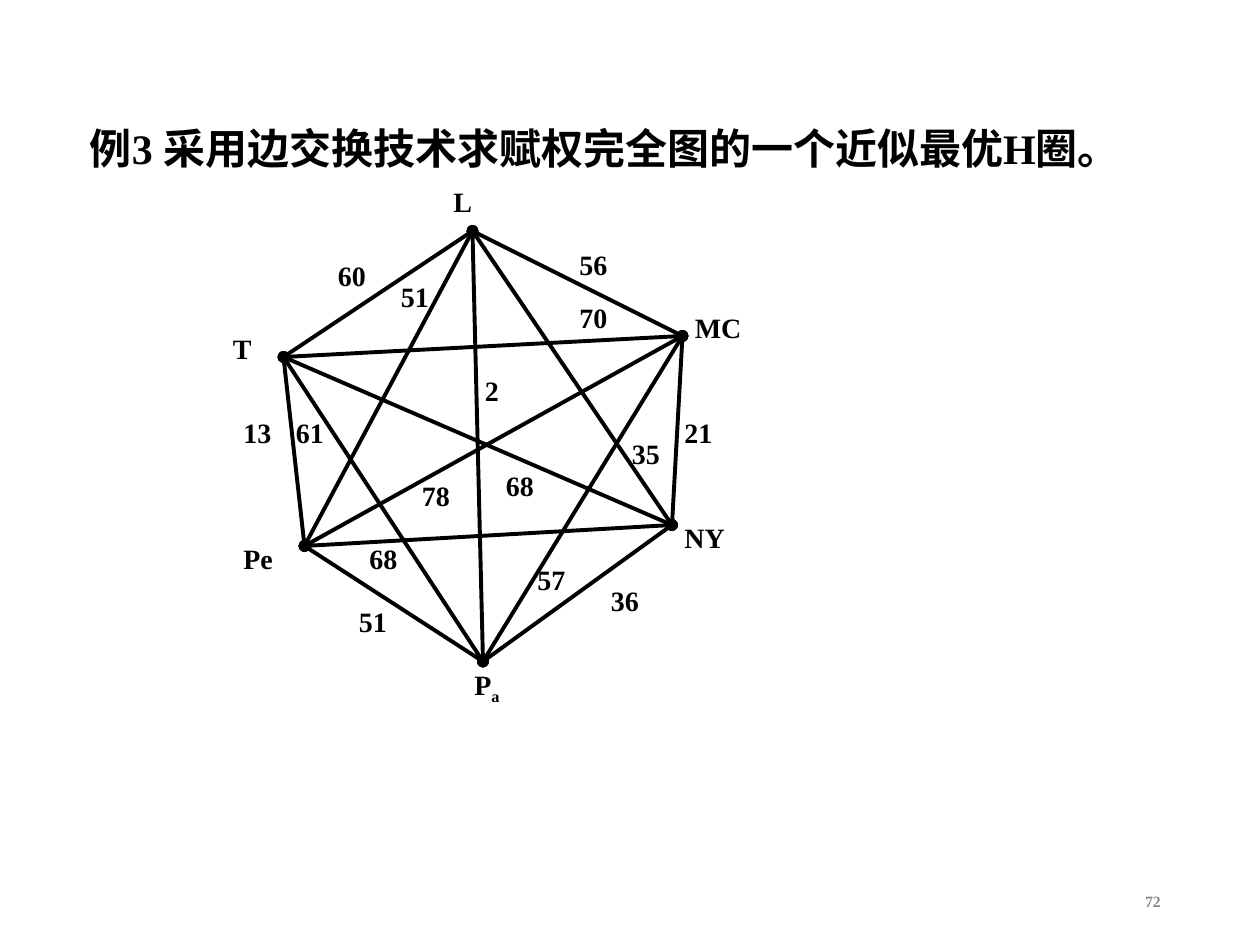
from itertools import combinations

from pptx import Presentation
from pptx.dml.color import RGBColor as Rgb
from pptx.enum.shapes import MSO_CONNECTOR as Link
from pptx.enum.text import MSO_ANCHOR as Anchor, PP_ALIGN as Align
from pptx.oxml.ns import qn
from pptx.util import Cm, Pt
from lxml.etree import SubElement as Sub

UNIT = 2.54 / 12  # the graph sits on a grid of twelfths of an inch

# name: (runs, point, label place, label width), in grid units
NODES = {
    "L": (("L",), (45, 22), (42, 17), 6),
    "T": (("T",), (27, 34), (21, 31), 10),
    "MC": (("MC",), (65, 32), (65, 29), 8),
    "Pe": (("Pe",), (29, 52), (22, 51), 10),
    "NY": (("NY",), (64, 50), (64, 49), 9),
    "Pa": (("P", "a"), (46, 63), (44, 63), 10),
}

# edge: (weight, label place)
EDGES = {
    ("L", "T"): (60, (31, 24)),
    ("L", "MC"): (56, (54, 23)),
    ("L", "Pe"): (51, (37, 26)),
    ("L", "NY"): (35, (59, 41)),
    ("L", "Pa"): (2, (45, 35)),
    ("T", "MC"): (70, (54, 28)),
    ("T", "Pe"): (13, (22, 39)),
    ("T", "NY"): (68, (47, 44)),
    ("T", "Pa"): (61, (27, 39)),
    ("MC", "Pe"): (78, (39, 45)),
    ("MC", "NY"): (21, (64, 39)),
    ("MC", "Pa"): (57, (50, 53)),
    ("Pe", "NY"): (68, (34, 51)),
    ("Pe", "Pa"): (51, (33, 57)),
    ("NY", "Pa"): (36, (57, 55)),
}


def color(code):
    return Rgb.from_string(code)


def grid(spot):
    """Turn grid units into centimetres."""
    return [n * UNIT for n in spot]


class Pen:
    """Holds the style and the current slide."""
    font, ink, gray = "Times New Roman", "000000", "898989"

    def __init__(self, slide):
        self.slide = slide
        self.group = slide.shapes.add_group_shape()

    def text(self, runs, box, size, ink=ink, shapes=None, align=Align.LEFT,
             anchor=Anchor.TOP):
        """Write a text box; every run after the first is a subscript."""
        shapes = shapes or self.slide.shapes
        frame = shapes.add_textbox(*map(Cm, box)).text_frame
        frame.word_wrap = True
        frame.vertical_anchor = anchor
        para = frame.paragraphs[0]
        para.alignment = align
        for i, word in enumerate(runs):
            run = para.add_run()
            run.text = word
            font = run.font
            font.name, font.size, font.bold = self.font, Pt(size), True
            font.color.rgb = color(ink)
            if i:
                run._r.get_or_add_rPr().set("baseline", "-25000")

    def label(self, runs, spot, width=6):
        box = (*grid(spot), width * UNIT, 0.94)
        self.text(runs, box, 16, shapes=self.group.shapes)

    def edge(self, start, end):
        """Draw a line with a dot at each end."""
        ends = map(Cm, grid(start) + grid(end))
        line = self.group.shapes.add_connector(Link.STRAIGHT, *ends)
        line.line.color.rgb = color(self.ink)
        line.line.width = Pt(2.25)
        for tag in ("a:headEnd", "a:tailEnd"):
            Sub(line.line._get_or_add_ln(), qn(tag), type="oval")
        Sub(line._element.spPr, qn("a:effectLst"))


def main():
    deck = Presentation()
    deck.slide_width, deck.slide_height = Cm(25.4), Cm(19.05)
    pen = Pen(deck.slides.add_slide(deck.slide_layouts[6]))

    pen.text(["72"], (17.93, 17.65, 5.72, 1.02), 9, Pen.gray,
             align=Align.RIGHT, anchor=Anchor.MIDDLE)
    pen.text(["例3 采用边交换技术求赋权完全图的一个近似最优H圈。"],
             (1.56, 2.34, 22.16, 1.27), 24)

    for a, b in combinations(NODES, 2):
        pen.edge(NODES[a][1], NODES[b][1])
    for weight, spot in EDGES.values():
        pen.label([str(weight)], spot)
    for runs, _, spot, width in NODES.values():
        pen.label(runs, spot, width)

    deck.save("out.pptx")


if __name__ == "__main__":
    main()
